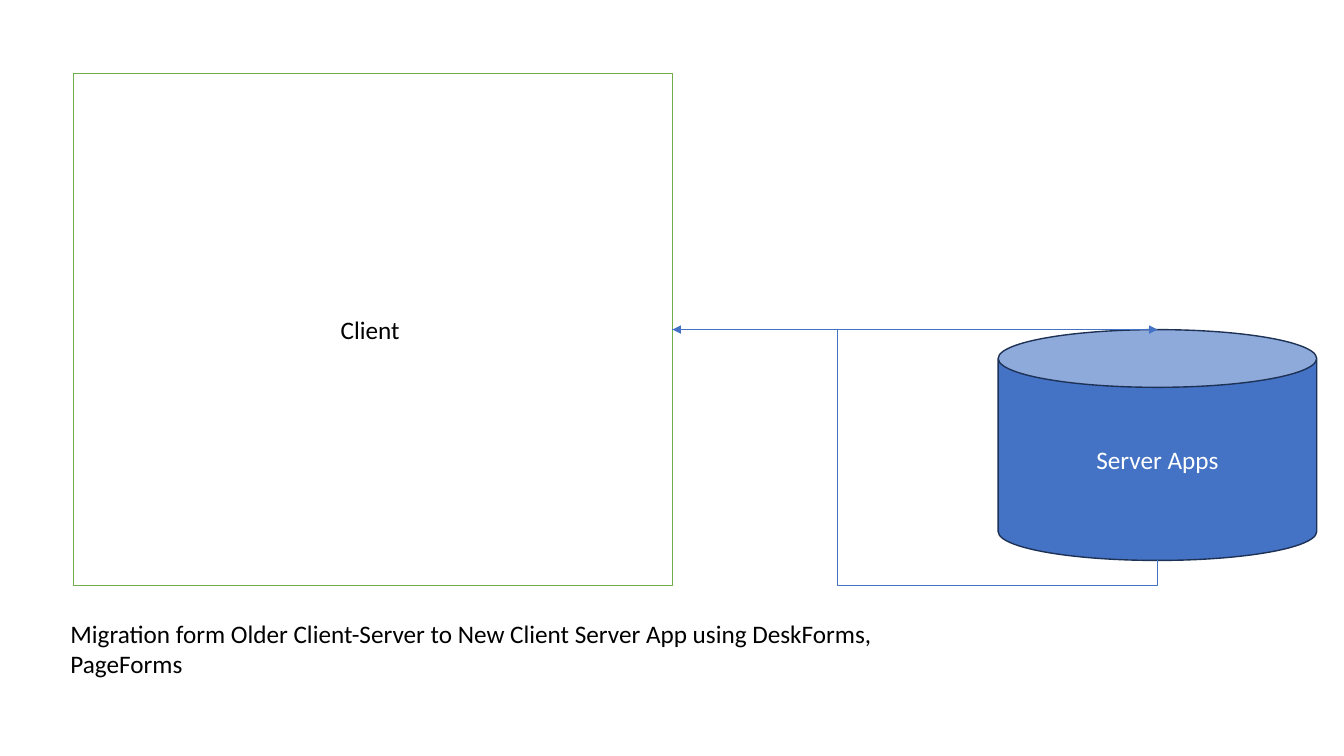
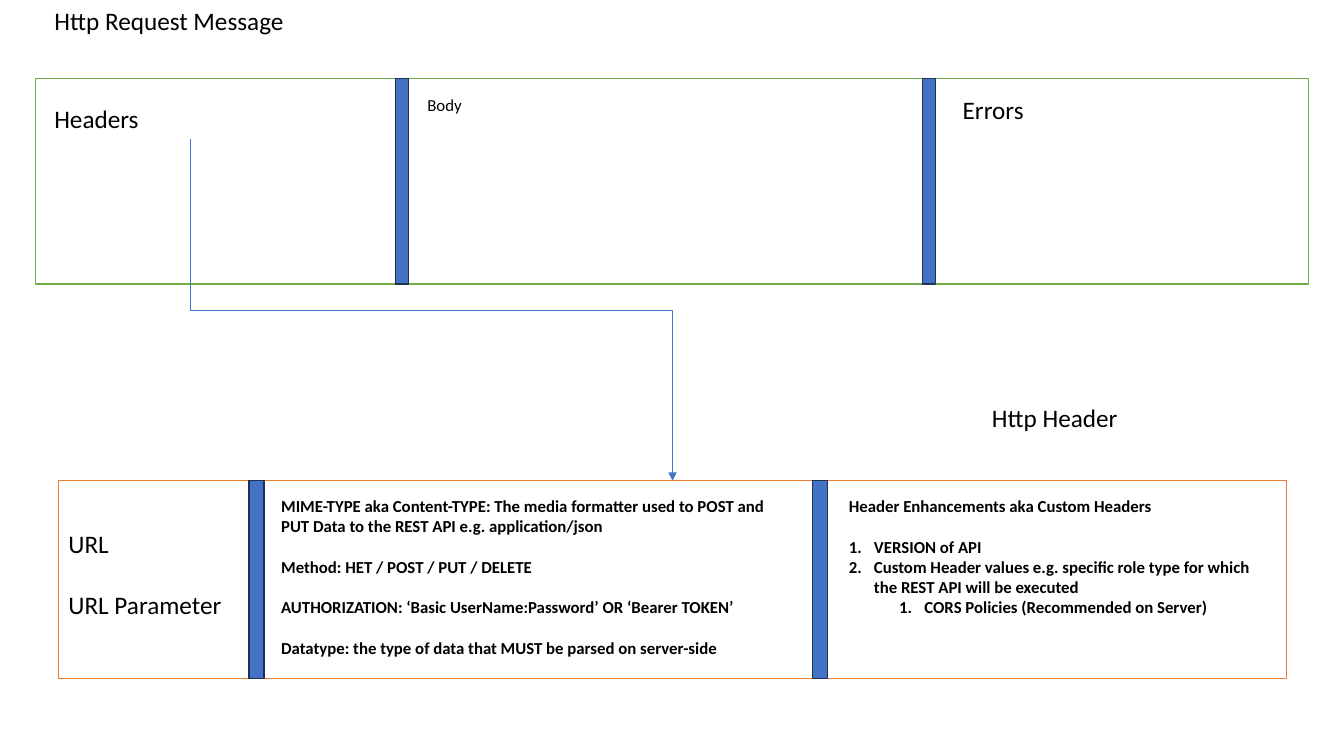
from lxml import etree
from pptx import Presentation
from pptx import util as u
from pptx.dml.color import RGBColor
from pptx.enum import shapes, text
from pptx.oxml import ns

PX = 9144  # EMU per px, 100 px to the inch
FONT = "Calibri"
COLORS = {
    "paper": "FFFFFF",
    "ink": "000000",
    "blue": "4472C4",
    "navy": "1E3256",
    "green": "70AD47",
    "orange": "ED7D31",
}


def px(*lengths):
    return [u.Emu(round(length * PX)) for length in lengths]


def rgb(name):
    return RGBColor.from_string(COLORS[name])


def style_para(para, size, color="ink", bold=False):
    para.font.name = FONT
    para.font.size = u.Pt(size)
    para.font.bold = bold
    para.font.color.rgb = rgb(color)


def number_para(para, level):
    props = para._p.get_or_add_pPr()
    props.set("marL", str(px(25 + 50 * level)[0]))
    props.set("indent", str(px(-25)[0]))
    etree.SubElement(props, ns.qn("a:buAutoNum"), type="arabicPeriod")
    para.level = level


def add_text(page, box, paras, size=18, bold=False, gap=0):
    """Each entry is a string, or (string, numbering level, space before)."""
    frame = page.shapes.add_textbox(*px(*box)).text_frame
    frame.word_wrap = True
    for index, entry in enumerate(paras):
        wording, level, space = entry if isinstance(entry, tuple) else (entry, None, gap)
        para = frame.add_paragraph() if index else frame.paragraphs[0]
        para.text = wording
        if level is not None:
            number_para(para, level)
        if index and space:
            para.space_before = u.Pt(space)
        style_para(para, size, bold=bold)


def add_block(page, kind, box, fill, line, label="", label_color="ink"):
    block = page.shapes.add_shape(kind, *px(*box))
    block.shadow.inherit = False
    block.fill.solid()
    block.fill.fore_color.rgb = rgb(fill)
    block.line.color.rgb = rgb(line)
    block.line.width = u.Pt(1)
    if label:
        frame = block.text_frame
        frame.vertical_anchor = text.MSO_ANCHOR.MIDDLE
        para = frame.paragraphs[0]
        para.text = label
        para.alignment = text.PP_ALIGN.CENTER
        style_para(para, 18, label_color)
    return block


def add_arrow(page, kind, start, end):
    arrow = page.shapes.add_connector(kind, *px(*start, *end))
    arrow.line.color.rgb = rgb("blue")
    arrow.line.width = u.Pt(0.5)
    etree.SubElement(arrow.line._get_or_add_ln(), ns.qn("a:tailEnd"), type="triangle")
    etree.SubElement(arrow._element.spPr, ns.qn("a:effectLst"))
    return arrow


def add_vertical_elbow(page, start, end, adjustments=()):
    """Elbow arrow that leaves its start vertically, down-right or up-left."""
    (x1, y1), (x2, y2) = start, end
    mid_x, mid_y = (x1 + x2) / 2, (y1 + y2) / 2
    half_width, half_height = abs(y2 - y1) / 2, abs(x2 - x1) / 2
    arrow = add_arrow(page, shapes.MSO_CONNECTOR.ELBOW,
                      (mid_x + half_width, mid_y - half_height),
                      (mid_x - half_width, mid_y + half_height))
    props = arrow._element.spPr
    props.find(ns.qn("a:xfrm")).set("rot", str((270 if y2 > y1 else 90) * 60000))
    if adjustments:
        geometry = props.find(ns.qn("a:prstGeom"))
        geometry.set("prst", f"bentConnector{len(adjustments) + 2}")
        guides = geometry.find(ns.qn("a:avLst"))
        for number, share in enumerate(adjustments, 1):
            etree.SubElement(guides, ns.qn("a:gd"), name=f"adj{number}",
                             fmla=f"val {round(share * 100000)}")


def add_band(page, box, line, divider_width, dividers):
    """Outlined band, cut by dividers at offsets from its left side."""
    left, top, width, height = box
    rectangle = shapes.MSO_SHAPE.RECTANGLE
    add_block(page, rectangle, box, "paper", line)
    for offset in dividers:
        add_block(page, rectangle, (left + offset, top, divider_width, height), "blue", "navy")


def set_title(page, box, wording):
    title = page.shapes.title
    title.left, title.top, title.width, title.height = px(*box)
    frame = title.text_frame
    frame.text = wording
    frame.word_wrap = True
    frame.vertical_anchor = text.MSO_ANCHOR.TOP
    frame.auto_size = text.MSO_AUTO_SIZE.NONE
    frame.paragraphs[0].alignment = text.PP_ALIGN.LEFT
    style_para(frame.paragraphs[0], 18)


def client_server_diagram(page, left, top):
    client = add_block(page, shapes.MSO_SHAPE.RECTANGLE, (left, top, 594, 508),
                       "paper", "green", "Client ")
    server_left, server_top, server_width, server_height = left + 917, top + 254, 316, 229
    add_block(page, shapes.MSO_SHAPE.CAN,
              (server_left, server_top, server_width, server_height),
              "blue", "navy", "Server Apps", "paper")
    server_mid = server_left + server_width / 2
    client_side = (left + 594, top + 254)
    request = add_arrow(page, shapes.MSO_CONNECTOR.STRAIGHT, client_side,
                        (server_mid, server_top))
    request.begin_connect(client, 3)
    add_vertical_elbow(page, (server_mid, server_top + server_height), client_side,
                       (-0.11, 0.66))


def request_band(page, left, top):
    add_band(page, (left, top, 1263, 204), "green", 13, (357, 880))
    add_text(page, (left + 9, top + 20, 291, 40), ["Headers"])
    add_text(page, (left + 379, top + 11, 131, 30), ["Body"], size=12)
    add_text(page, (left + 910, top + 11, 340, 40), ["Errors"])


def header_band(page, left, top):
    add_text(page, (left + 916, top - 83, 235, 40), ["Http Header"])
    add_band(page, (left, top, 1218, 196), "orange", 15, (189, 748))
    add_text(page, (left, top + 42, 183, 101), ["URL", "URL Parameter"], gap=22)
    add_text(page, (left + 211, top + 10, 526, 192), [
        "MIME-TYPE aka Content-TYPE: The media formatter used to POST and PUT Data "
        "to the REST API e.g. application/json",
        "Method: HET / POST / PUT / DELETE",
        "AUTHORIZATION: ‘Basic UserName:Password’ OR ‘Bearer TOKEN’",
        "Datatype: the type of data that MUST be parsed on server-side",
    ], size=12, bold=True, gap=14.5)
    add_text(page, (left + 774, top + 10, 444, 131), [
        "Header Enhancements aka Custom Headers",
        ("VERSION of API", 0, 14.5),
        ("Custom Header values e.g. specific role type for which the REST API "
         "will be executed", 0, 0),
        ("CORS Policies (Recommended on Server)", 1, 0),
    ], size=12, bold=True)


def migration_slide(deck):
    page = deck.slides.add_slide(deck.slide_layouts.get_by_name("Blank"))
    client_server_diagram(page, 73, 73)
    add_text(page, (60, 608, 853, 71), [
        "Migration form Older Client-Server to New Client Server App "
        "using DeskForms, PageForms"])


def http_message_slide(deck):
    page = deck.slides.add_slide(deck.slide_layouts.get_by_name("Title Only"))
    set_title(page, (44, 0, 348, 40), "Http Request Message")
    request_band(page, 35, 78)
    header_band(page, 58, 477)
    add_vertical_elbow(page, (189, 138), (667, 477))


def main():
    deck = Presentation()
    deck.slide_width, deck.slide_height = px(1333, 750)
    migration_slide(deck)
    http_message_slide(deck)
    deck.save("out.pptx")


if __name__ == "__main__":
    main()
